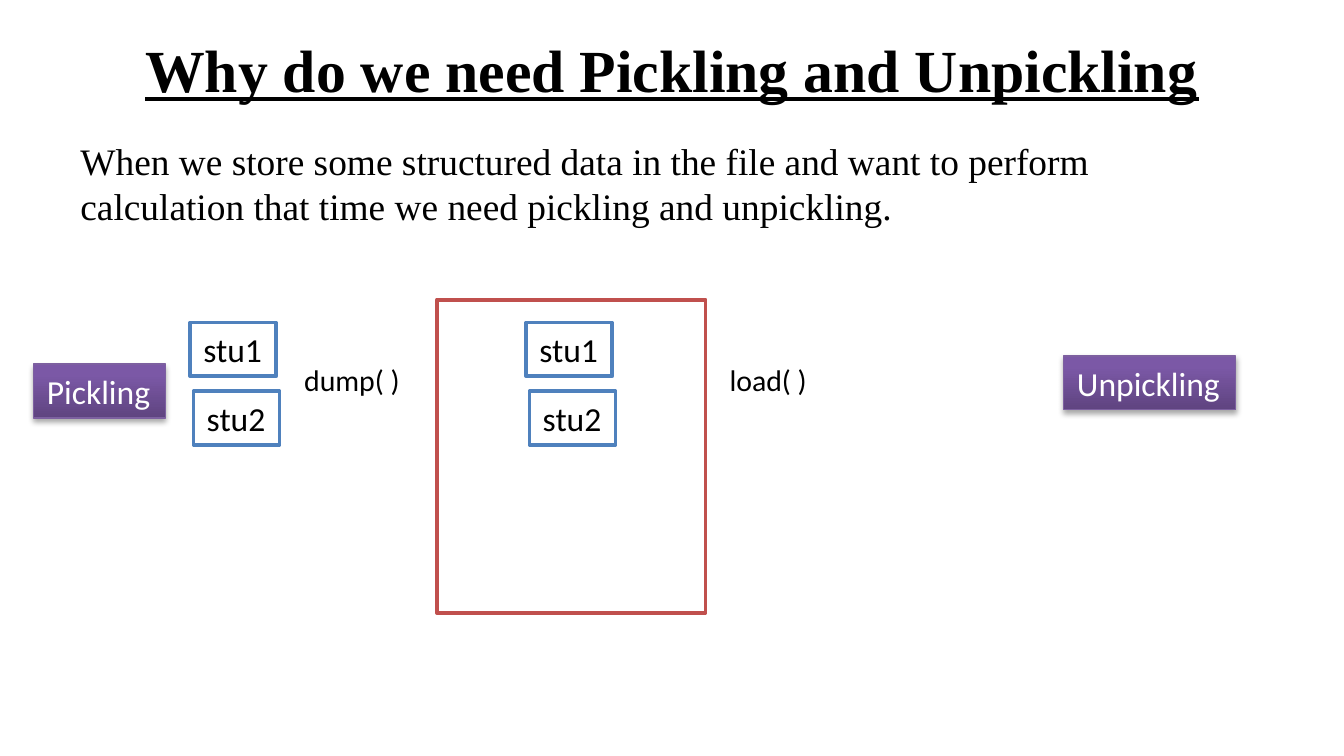
from copy import deepcopy

from lxml.etree import SubElement
from pptx import Presentation
from pptx.dml.color import RGBColor
from pptx.enum.shapes import MSO_SHAPE as Shape
from pptx.enum.text import MSO_ANCHOR as Anchor, MSO_AUTO_SIZE as AutoSize, PP_ALIGN as Align
from pptx.oxml.ns import qn
from pptx.util import Inches, Pt

COLORS = {
    "text": "000000", "white": "FFFFFF", "file": "C0504D", "record": "4F81BD",
    "badge": "7D60A0", "dark": "5F4480", "mid": "7B58A6", "light": "7C57A8",
}
COLS, ROWS = 100, 56.25
CELL = Inches(0.1)
SERIF, SANS = "Times New Roman", "Calibri"
LABEL_H, CHIP_H = 3.7, 4


def color(name):
    return RGBColor.from_string(COLORS[name])


def place(box, x, y, w, h):
    """Turn grid cells counted from the corner of box into slide lengths."""
    return [int(n * CELL) for n in (box[0] + x, box[1] + y, w, h)]


def write(sp, text, size=18, font=SANS, fill="text", align=Align.LEFT,
          anchor=Anchor.TOP, wrap=False, bold=False, underline=False, right=1):
    tf = sp.text_frame
    tf.auto_size = AutoSize.NONE if wrap else AutoSize.SHAPE_TO_FIT_TEXT
    tf.word_wrap = wrap
    tf.vertical_anchor = anchor
    tf.margin_right = int(right * CELL)
    p = tf.paragraphs[0]
    p.alignment = align
    r = p.add_run()
    r.text = text
    r.font.size, r.font.name = Pt(size), font
    r.font.bold, r.font.underline = bold, underline
    r.font.color.rgb = color(fill)


def add_text(s, area, text, **fmt):
    write(s.shapes.add_textbox(*area), text, **fmt)


def add_rect(s, area, line, width=2):
    sp = s.shapes.add_shape(Shape.RECTANGLE, *area)
    sp.shadow.inherit = False
    sp.fill.solid()
    sp.fill.fore_color.rgb = color("white")
    sp.line.color.rgb = color(line)
    sp.line.width = Pt(width)
    return sp


def add_badge(s, area, text):
    """Purple gradient label with a soft shadow below it."""
    sp = add_rect(s, area, "badge", 0.75)
    sp.fill.gradient()
    sp.fill.gradient_angle = 90
    stops = sp._element.spPr.find(qn("a:gradFill")).find(qn("a:gsLst"))
    stops.append(deepcopy(stops[-1]))
    for stop, (pos, name) in zip(sp.fill.gradient_stops,
                                 ((0, "dark"), (0.8, "mid"), (1, "light"))):
        stop.position = pos
        stop.color.rgb = color(name)
    effects = sp._element.spPr.find(qn("a:effectLst"))
    shadow = SubElement(effects, qn("a:outerShdw"), blurRad=str(Pt(3.1)),
                        dist=str(Pt(1.8)), dir="5400000", rotWithShape="0")
    black = SubElement(shadow, qn("a:srgbClr"), val=COLORS["text"])
    SubElement(black, qn("a:alpha"), val="35000")
    write(sp, text, fill="white")


def add_records(s, box):
    for i, name in enumerate(("stu1", "stu2")):
        write(add_rect(s, place(box, 0.25 * i, 5.1 * i, 6.4, CHIP_H), "record"), name)


def add_heading(s, box):
    w = box[2]
    add_text(s, place(box, 0, 0, w, 9.4), "Why do we need Pickling and Unpickling",
             size=32, font=SERIF, align=Align.CENTER, anchor=Anchor.MIDDLE,
             wrap=True, bold=True, underline=True)
    add_text(s, place(box, 0, 9.4, w, 10.8),
             "When we store some structured data in the file and want to perform "
             "calculation that time we need pickling and unpickling.",
             size=20, font=SERIF, wrap=True, right=3)


def add_diagram(s, box):
    left, top = box[:2]
    add_rect(s, place(box, 30, 0, 20, box[3]), "file")
    for x in (11.65, 36.65):
        add_records(s, (left + x, top + 1.7))
    for x, w, text in ((19.15, 9.2, "dump( )"), (50.8, 7.8, "load( )")):
        add_text(s, place(box, x, 4.15, w, LABEL_H), text, size=16)
    for x, y, w, text in ((0, 4.8, 9.8, "Pickling"), (76.65, 4.2, 12.8, "Unpickling")):
        add_badge(s, place(box, x, y, w, CHIP_H), text)


def main():
    prs = Presentation()
    prs.slide_width, prs.slide_height = int(COLS * CELL), int(ROWS * CELL)
    s = prs.slides.add_slide(prs.slide_layouts[6])
    add_heading(s, (5, 0.4, 90, 20.2))
    add_diagram(s, (2.5, 22.3, 89.5, 23.3))
    prs.save("out.pptx")


if __name__ == "__main__":
    main()
